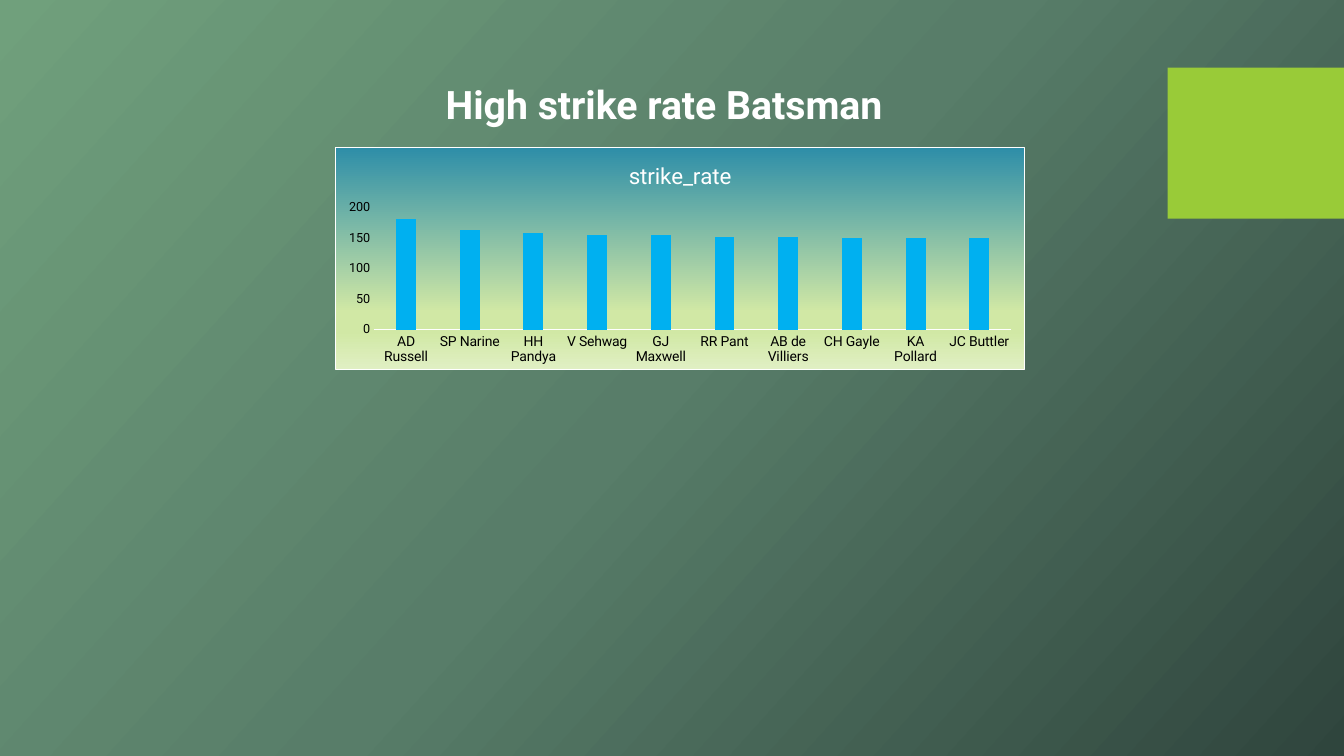
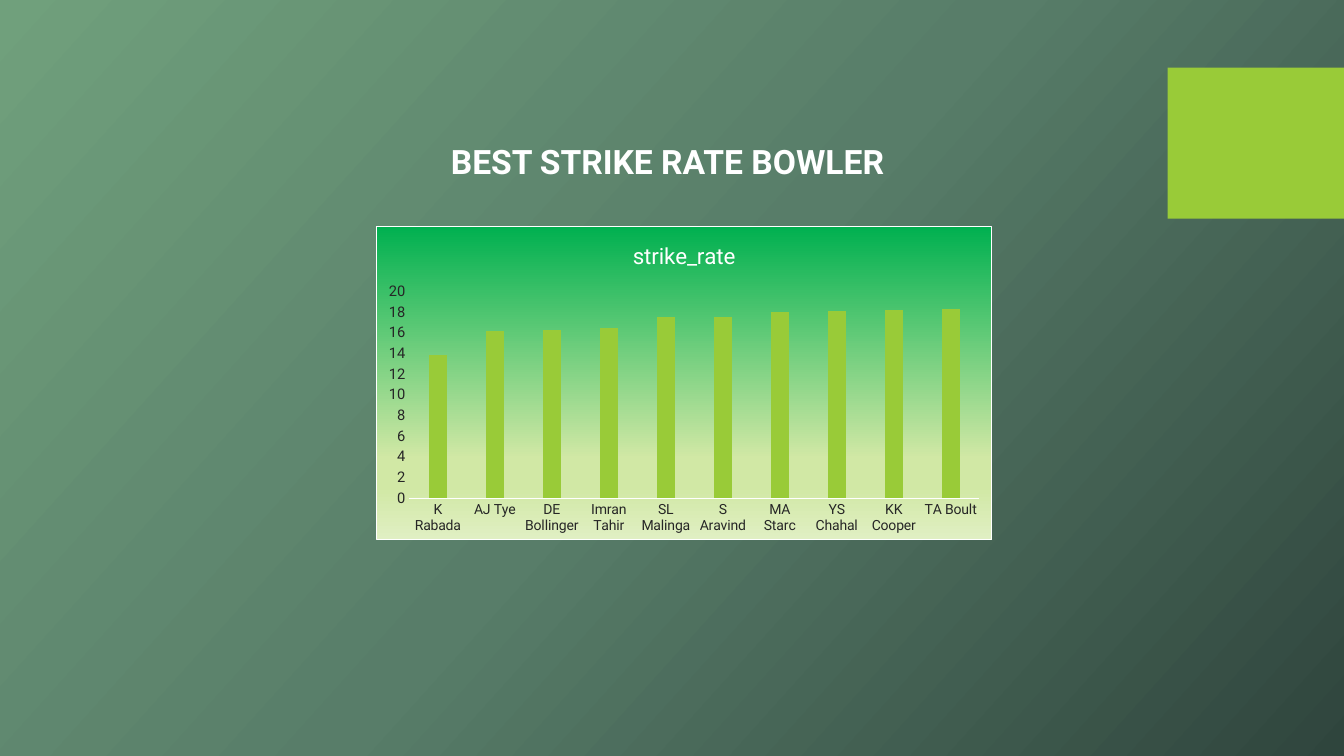
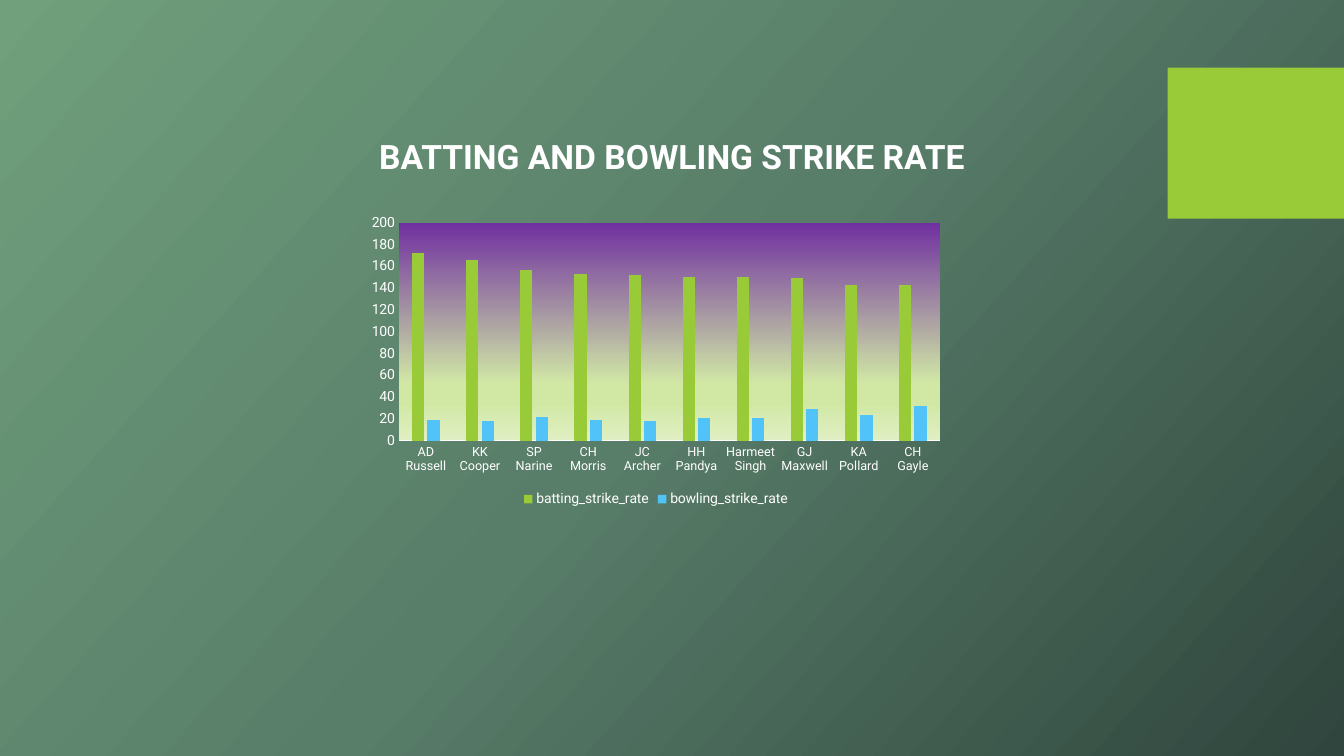
import dataclasses

import pptx
import pptx.chart.data
import pptx.dml.color
import pptx.enum.chart
import pptx.enum.shapes
import pptx.enum.text
import pptx.oxml
import pptx.oxml.ns
import pptx.util

Inches = pptx.util.Inches
Align = pptx.enum.text.PP_ALIGN


@dataclasses.dataclass(frozen=True)
class Theme:
    font: str = "Roboto"
    white: str = "FFFFFF"
    black: str = "000000"
    dark: str = "262626"
    lime: str = "99CB38"
    blue: str = "00B0F0"
    sky: str = "51C3F9"
    teal: str = "2E8EA8"
    green: str = "00B050"
    purple: str = "7030A0"
    back: tuple = ((0, "70A07C"), (50, "587D69"), (100, "2F453D"))
    fade: tuple = ((74, "D1E8A5"), (83, "D1E8A5"), (100, "E0EFC3"))
    big: float = 28
    head: float = 24
    title: float = 16
    label: float = 10
    small: float = 9
    scale: float = 10.5
    line: float = 0.75


THEME = Theme()


def tint(code):
    return pptx.dml.color.RGBColor.from_string(code)


def style(font, size=THEME.label, color=THEME.white, bold=False):
    font.name = THEME.font
    font.size = pptx.util.Pt(size)
    font.bold = bold
    font.color.rgb = tint(color)


def text(frame, words, align=Align.CENTER, **look):
    para = frame.paragraphs[0]
    para.alignment = align
    run = para.add_run()
    run.text = words
    style(run.font, **look)


def blend(stops, angle):
    marks = "".join(
        f'<a:gs pos="{spot * 1000}"><a:srgbClr val="{code}"/></a:gs>'
        for spot, code in stops)
    return (f'<a:gradFill {pptx.oxml.ns.nsdecls("a")} rotWithShape="1">'
            f'<a:gsLst>{marks}</a:gsLst>'
            f'<a:lin ang="{angle * 60000}" scaled="0"/></a:gradFill>')


def panel(top, edge):
    line = (f'<a:ln w="{pptx.util.Pt(THEME.line)}"><a:solidFill>'
            f'<a:srgbClr val="{THEME.white}"/></a:solidFill></a:ln>'
            if edge else '<a:ln><a:noFill/></a:ln>')
    return pptx.oxml.parse_xml(
        f'<c:spPr {pptx.oxml.ns.nsdecls("c", "a")}>'
        f'{blend(((0, top),) + THEME.fade, 90)}{line}</c:spPr>')


def dress(master, slide, box):
    master.background.fill.solid()
    back = master.element.find(".//" + pptx.oxml.ns.qn("p:bgPr"))
    back.replace(back[0], pptx.oxml.parse_xml(blend(THEME.back, 42)))
    block = slide.shapes.add_shape(
        pptx.enum.shapes.MSO_SHAPE.RECTANGLE, *map(Inches, box))
    block.shadow.inherit = False
    block.fill.solid()
    block.fill.fore_color.rgb = tint(THEME.lime)
    block.line.fill.background()
    block.element.nvSpPr.cNvPr.set("id", "99")
    master.element.cSld.spTree.insert(2, block.element)


def head(slide, box, words, **look):
    shape = slide.shapes.title
    shape.left, shape.top, shape.width, shape.height = map(Inches, box)
    frame = shape.text_frame
    frame.word_wrap = True
    frame.auto_size = pptx.enum.text.MSO_AUTO_SIZE.SHAPE_TO_FIT_TEXT
    frame.vertical_anchor = pptx.enum.text.MSO_ANCHOR.TOP
    text(frame, words, bold=True, **look)


def axes(chart, names, marks, top, step):
    for axis, look in ((chart.category_axis, names), (chart.value_axis, marks)):
        axis.has_major_gridlines = False
        axis.major_tick_mark = pptx.enum.chart.XL_TICK_MARK.NONE
        axis.minor_tick_mark = pptx.enum.chart.XL_TICK_MARK.NONE
        style(axis.tick_labels.font, **look)
    line = chart.category_axis.format.line
    line.color.rgb = tint(THEME.white)
    line.width = pptx.util.Pt(THEME.line)
    scale = chart.value_axis
    scale.format.line.fill.background()
    scale.minimum_scale, scale.maximum_scale = 0, top
    scale.major_unit = step


def graph(slide, box, cats, series, shade, names, marks, top, step):
    data = pptx.chart.data.CategoryChartData()
    data.categories = cats
    for name, color, values in series:
        data.add_series(name, values)
    chart = slide.shapes.add_chart(
        pptx.enum.chart.XL_CHART_TYPE.COLUMN_CLUSTERED,
        *map(Inches, box), data).chart
    style(chart.font)
    axes(chart, names, marks, top, step)
    plot = chart.plots[0]
    plot.vary_by_categories = False
    plot.gap_width = 219
    plot.overlap = -27
    for bars, (name, color, values) in zip(plot.series, series):
        bars.invert_if_negative = False
        bars.format.fill.solid()
        bars.format.fill.fore_color.rgb = tint(color)
    single = len(series) == 1
    chart.has_title = single
    chart.has_legend = not single
    root = chart.element
    if single:
        chart.chart_title.include_in_layout = False
        text(chart.chart_title.text_frame, series[0][0], size=THEME.title)
        root.find(pptx.oxml.ns.qn("c:txPr")).addprevious(panel(shade, True))
    else:
        chart.legend.position = pptx.enum.chart.XL_LEGEND_POSITION.BOTTOM
        chart.legend.include_in_layout = False
        style(chart.legend.font)
        root.find(".//" + pptx.oxml.ns.qn("c:plotArea")).append(
            panel(shade, False))


PAGES = (
    (dict(box=(4.32, 0.75, 5.49, 0.57), words="High strike rate Batsman",
          align=Align.LEFT, size=THEME.big),
     dict(box=(3.32, 1.46, 6.85, 2.21), shade=THEME.teal, top=200, step=50,
          names=dict(color=THEME.black),
          marks=dict(size=THEME.small, color=THEME.black),
          cats=("AD Russell", "SP Narine", "HH Pandya", "V Sehwag",
                "GJ Maxwell", "RR Pant", "AB de Villiers", "CH Gayle",
                "KA Pollard", "JC Buttler"),
          series=(("strike_rate", THEME.blue,
                   (182, 164, 159, 155, 155, 152, 152, 150, 150, 150)),))),
    (dict(box=(0, 1.35, 13.24, 0.5), words="BEST STRIKE RATE BOWLER",
          size=THEME.head),
     dict(box=(3.73, 2.24, 6.11, 3.12), shade=THEME.green, top=20, step=2,
          names=dict(color=THEME.dark),
          marks=dict(size=THEME.scale, color=THEME.dark),
          cats=("K Rabada", "AJ Tye", "DE Bollinger", "Imran Tahir",
                "SL Malinga", "S Aravind", "MA Starc", "YS Chahal",
                "KK Cooper", "TA Boult"),
          series=(("strike_rate", THEME.lime,
                   (13.8, 16.1, 16.2, 16.4, 17.5, 17.5, 18, 18.1, 18.2,
                    18.3)),))),
    (dict(box=(0, 1.3, 13.33, 0.5), words="BATTING AND BOWLING STRIKE RATE",
          size=THEME.head),
     dict(box=(3.57, 2.07, 5.87, 3), shade=THEME.purple, top=200, step=20,
          names=dict(size=THEME.small), marks=dict(),
          cats=("AD Russell", "KK Cooper", "SP Narine", "CH Morris",
                "JC Archer", "HH Pandya", "Harmeet Singh", "GJ Maxwell",
                "KA Pollard", "CH Gayle"),
          series=(("batting_strike_rate", THEME.lime,
                   (172, 166, 156, 153, 152, 150, 150, 149, 143, 143)),
                  ("bowling_strike_rate", THEME.sky,
                   (19, 18, 22, 19, 18, 21, 21, 29, 23, 32))))),
)


def main():
    deck = pptx.Presentation()
    deck.slide_width, deck.slide_height = Inches(13.33), Inches(7.5)
    for title, chart in PAGES:
        slide = deck.slides.add_slide(deck.slide_layouts[5])
        head(slide, **title)
        graph(slide, **chart)
    dress(deck.slide_master, slide, (11.58, 0.67, 1.75, 1.5))
    deck.save("out.pptx")


if __name__ == "__main__":
    main()
